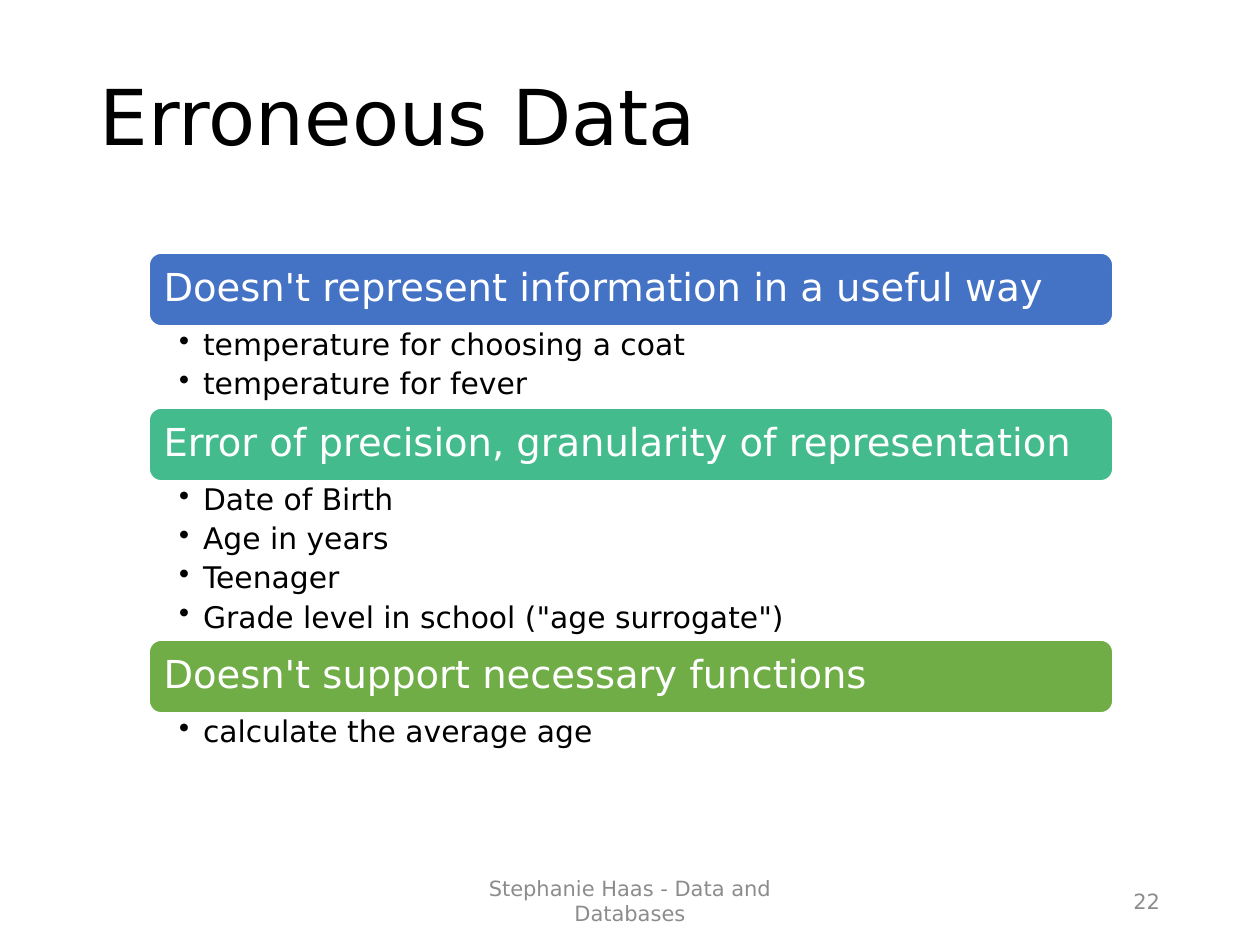
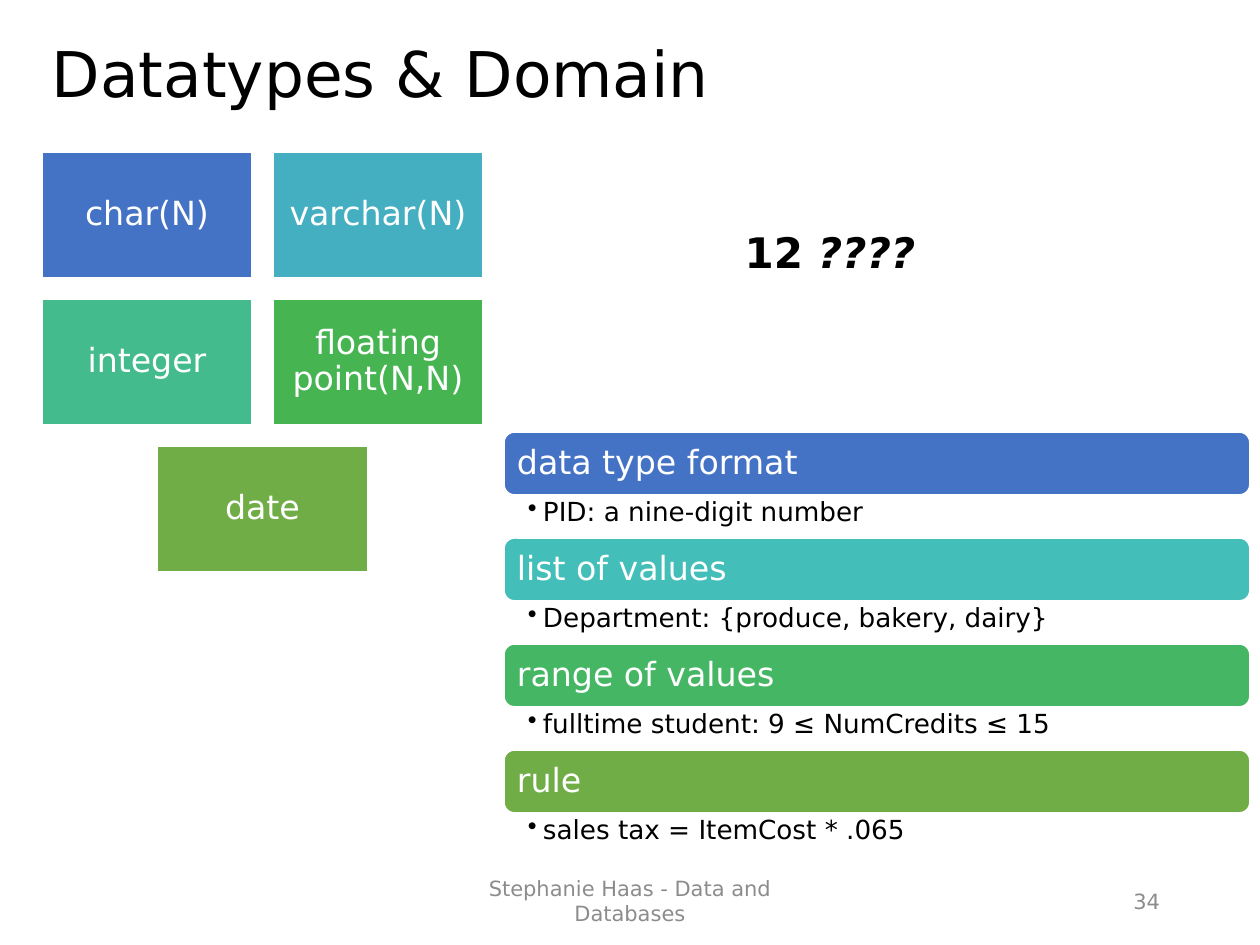
import pptx
import pptx.dml.color
import pptx.enum.shapes
import pptx.enum.text
import pptx.util
from lxml import etree

PX = 914400 / 126
FONT = "DejaVu Sans"
BLACK, WHITE, GREY = "000000", "FFFFFF", "8C8C8C"
BLUE, CYAN, TURQUOISE = "4472C4", "43AFC0", "43BEB9"
TEAL, EMERALD, GREEN, OLIVE = "43BB8D", "45B664", "45B451", "70AD47"

ALIGN = pptx.enum.text.PP_ALIGN
ANCHOR = pptx.enum.text.MSO_ANCHOR
SHAPE = pptx.enum.shapes.MSO_SHAPE

# Content: (heading, colour, height of the list below it, bullets)
ERROR_KINDS = [
    ("Doesn't represent information in a useful way", BLUE, 82,
     ["temperature for choosing a coat", "temperature for fever"]),
    ("Error of precision, granularity of representation", TEAL, 159,
     ["Date of Birth", "Age in years", "Teenager",
      'Grade level in school ("age surrogate")']),
    ("Doesn't support necessary functions", OLIVE, 50,
     ["calculate the average age"]),
]
DOMAIN_KINDS = [
    ("data type format", BLUE, 43, ["PID: a nine-digit number"]),
    ("list of values", TURQUOISE, 43, ["Department: {produce, bakery, dairy}"]),
    ("range of values", EMERALD, 43, ["fulltime student: 9 ≤ NumCredits ≤ 15"]),
    ("rule", OLIVE, 43, ["sales tax = ItemCost * .065"]),
]
DATATYPE_ROWS = [
    [("char(N)", BLUE), ("varchar(N)", CYAN)],
    [("integer", TEAL), ("floating point(N,N)", GREEN)],
    [("date", OLIVE)],
]
FOOTER = "Stephanie Haas - Data and Databases"

# Layout in px
ERROR_LIST = dict(left=149, top=253, width=964, band_height=73, band_size=22,
                  band_inset=11, bullet_size=17, list_inset=30, indent=24, gap=4)
DOMAIN_LIST = dict(left=504, top=432, width=746, band_height=63, band_size=19,
                   band_inset=10, bullet_size=15, list_inset=24, indent=15, gap=3)
TILE_LEFT, TILE_TOP, TILE_WIDTH, TILE_HEIGHT, TILE_GAP = 42, 152, 210, 126, 21


def px(length):
    return pptx.util.Emu(round(length * PX))


def rgb(color):
    return pptx.dml.color.RGBColor.from_string(color)


def set_text(shape, lines, size, color, align=ALIGN.LEFT, anchor=ANCHOR.MIDDLE,
             insets=(13, 6, 13, 6), spacing=None, gap=0, indent=0):
    """Fill a shape with lines; an indent makes them bullets."""
    frame = shape.text_frame
    frame.word_wrap = True
    frame.vertical_anchor = anchor
    frame.margin_left, frame.margin_top, frame.margin_right, frame.margin_bottom = map(px, insets)
    frame.text = "\n".join(lines)
    for paragraph in frame.paragraphs:
        paragraph.alignment = align
        paragraph.line_spacing = spacing
        paragraph.space_after = pptx.util.Pt(gap)
        if indent:
            properties = paragraph._p.get_or_add_pPr()
            properties.set("marL", str(px(indent)))
            properties.set("indent", str(-px(indent)))
            bullet = etree.SubElement(properties, pptx.oxml.ns.qn("a:buChar"))
            bullet.set("char", "•")
        for run in paragraph.runs:
            run.font.name = FONT
            run.font.size = pptx.util.Pt(size)
            run.font.color.rgb = rgb(color)


def add_text(slide, box, lines, size, color, **options):
    shape = slide.shapes.add_textbox(*map(px, box))
    set_text(shape, lines, size, color, **options)
    return shape


def add_block(slide, kind, box, fill, text, size, inset, align):
    shape = slide.shapes.add_shape(kind, *map(px, box))
    shape.shadow.inherit = False
    shape.fill.solid()
    shape.fill.fore_color.rgb = rgb(fill)
    shape.line.color.rgb = rgb(WHITE)
    shape.line.width = pptx.util.Pt(1)
    set_text(shape, [text], size, WHITE, align=align, insets=[inset] * 4, spacing=0.9)


def add_banded_list(slide, kinds, left, top, width, band_height, band_size,
                    band_inset, bullet_size, list_inset, indent, gap):
    """Stack coloured bands, each followed by its bullets."""
    for heading, color, list_height, bullets in kinds:
        add_block(slide, SHAPE.ROUNDED_RECTANGLE, (left, top, width, band_height),
                  color, heading, band_size, band_inset, ALIGN.LEFT)
        top += band_height
        add_text(slide, (left, top, width, list_height), bullets, bullet_size, BLACK,
                 anchor=ANCHOR.TOP, insets=(list_inset, 4, 20, 4),
                 spacing=0.9, gap=gap, indent=indent)
        top += list_height


def add_tiles(slide, rows):
    """Lay tiles out in rows, centring a short row."""
    columns = max(map(len, rows))
    pitch = TILE_WIDTH + TILE_GAP
    for row_index, row in enumerate(rows):
        left = TILE_LEFT + (columns - len(row)) * pitch / 2
        top = TILE_TOP + row_index * (TILE_HEIGHT + TILE_GAP)
        for column, (label, color) in enumerate(row):
            add_block(slide, SHAPE.RECTANGLE,
                      (left + column * pitch, top, TILE_WIDTH, TILE_HEIGHT),
                      color, label, 19, 10, ALIGN.CENTER)


def add_slide(presentation, title, title_box, title_size, number):
    """Start a slide with its title, footer and number."""
    slide = presentation.slides.add_slide(presentation.slide_layouts[6])
    add_text(slide, title_box, [title], title_size, BLACK, spacing=0.9)
    add_text(slide, (417, 876, 426, 50), [FOOTER], 12, GREY, align=ALIGN.CENTER)
    add_text(slide, (890, 876, 283, 50), [str(number)], 12, GREY, align=ALIGN.RIGHT)
    return slide


def main():
    presentation = pptx.Presentation()
    presentation.slide_width, presentation.slide_height = px(1260), px(945)

    # Erroneous data
    slide = add_slide(presentation, "Erroneous Data", (87, 50, 1086, 141), 44, 22)
    add_banded_list(slide, ERROR_KINDS, **ERROR_LIST)

    # Datatypes and domain
    slide = add_slide(presentation, "Datatypes & Domain", (39, 28, 1134, 98), 36, 34)
    add_tiles(slide, DATATYPE_ROWS)
    question = add_text(slide, (725, 221, 210, 63), ["12 "], 24, BLACK,
                        align=ALIGN.CENTER, anchor=ANCHOR.TOP)
    paragraph = question.text_frame.paragraphs[0]
    marks = paragraph.add_run()
    marks.text = "????"
    marks.font.italic = True
    for run in paragraph.runs:
        run.font.name = FONT
        run.font.size = pptx.util.Pt(24)
        run.font.bold = True
        run.font.color.rgb = rgb(BLACK)
    add_banded_list(slide, DOMAIN_KINDS, **DOMAIN_LIST)

    presentation.save("out.pptx")


if __name__ == "__main__":
    main()
